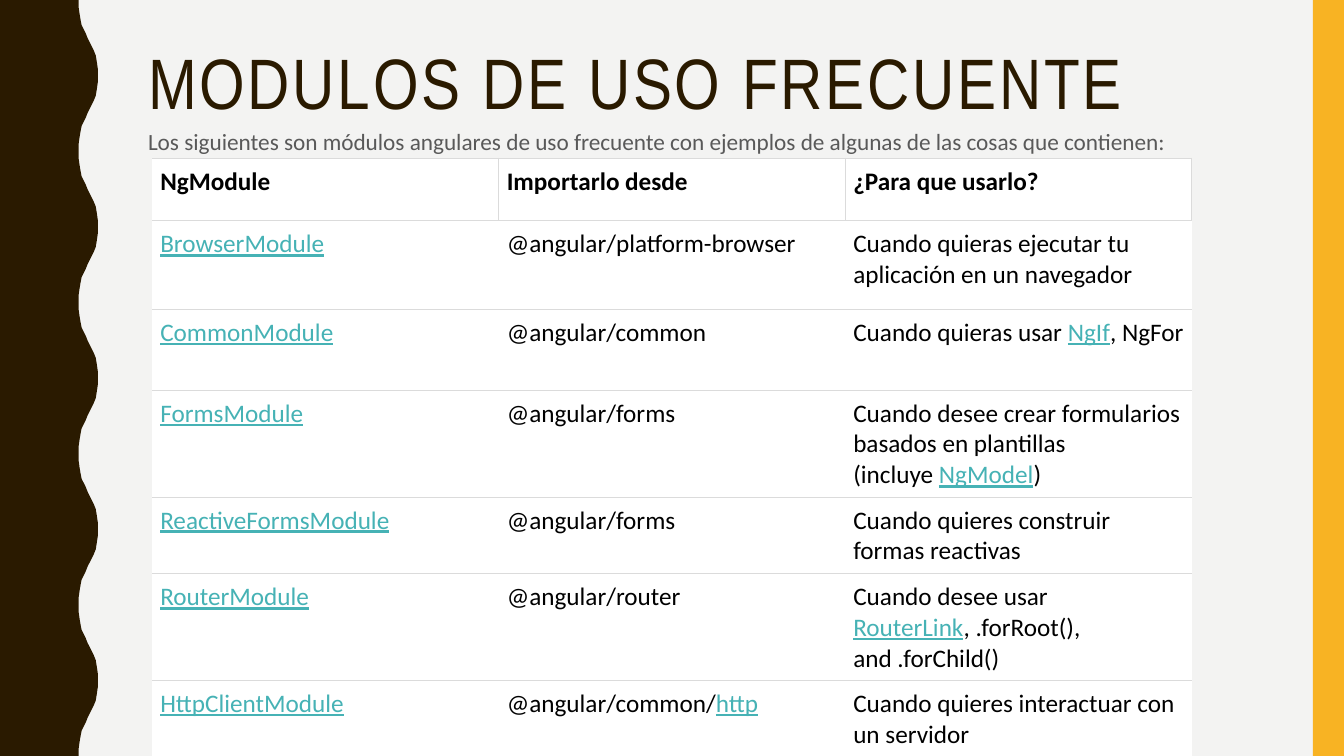
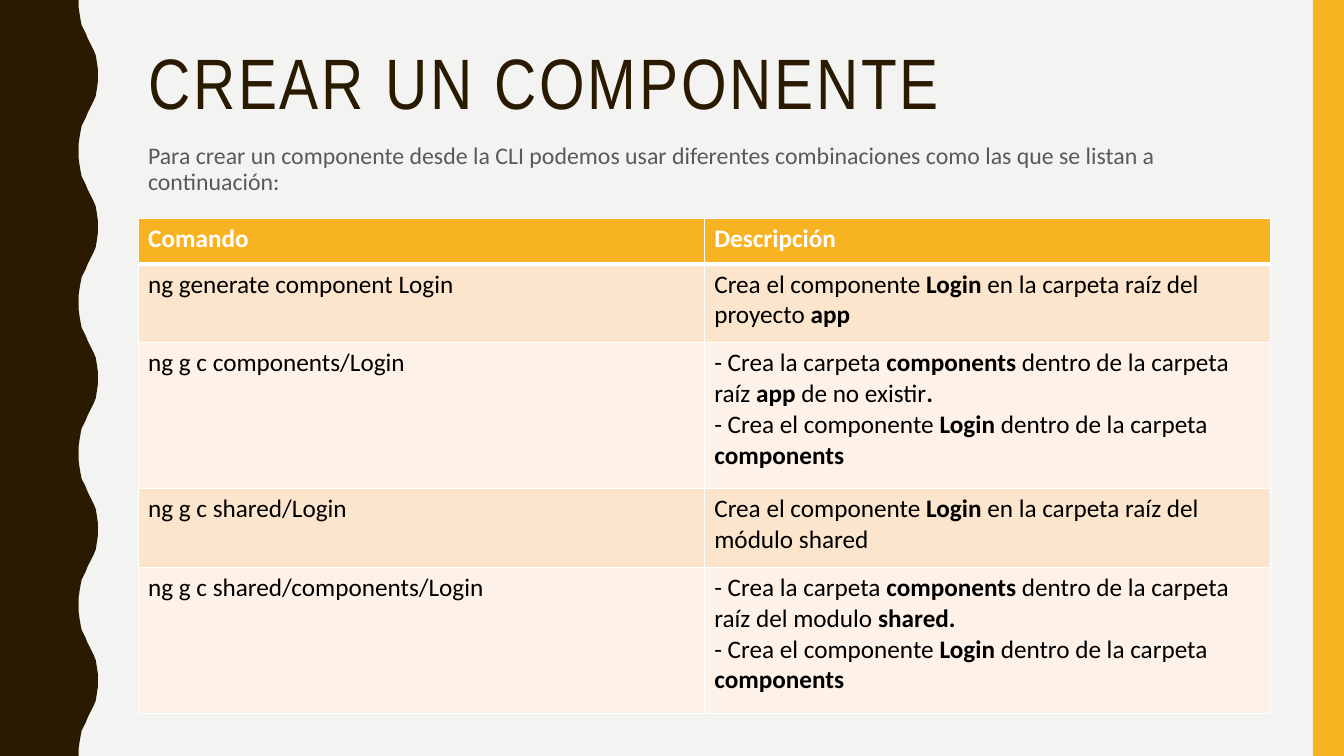
from dataclasses import dataclass

from lxml import etree
from pptx import Presentation
from pptx.dml.color import RGBColor
from pptx.enum.shapes import MSO_SHAPE
from pptx.enum.text import MSO_ANCHOR
from pptx.oxml.ns import qn
from pptx.util import Inches, Pt

RECTANGLE = MSO_SHAPE.RECTANGLE
TOP, MIDDLE = MSO_ANCHOR.TOP, MSO_ANCHOR.MIDDLE
PLAIN_TABLE_STYLE = "{2D5ABB26-0587-4C30-8999-92F81FD0307C}"
HARD_SPACE = chr(160)  # typed as "~" in the texts below
EDGES = ("L", "R", "T", "B")


@dataclass(frozen=True)
class Theme:
    background: str = "F3F3F2"
    dark: str = "2A1A00"
    accent: str = "F8B323"
    muted: str = "595959"
    ink: str = "000000"
    link: str = "46B2B5"
    white: str = "FFFFFF"
    rule: str = "DBDBDB"
    bands: tuple = ("FCE5CD", "FEF2E8")
    heading_font: str = "Arial Narrow"
    text_font: str = "Calibri"
    title_size: float = 51
    intro_size: float = 17
    table_size: float = 18


THEME = Theme()

# Half a period of the wavy edge, as (x, y) in inches; the rest is mirrored
WAVE_PERIOD, WAVE_COUNT = 1.5, 5
HALF_WAVE = [
    (0.78, 0), (0.78, 0.07), (0.79, 0.14), (0.8, 0.2), (0.81, 0.25),
    (0.83, 0.29), (0.85, 0.33), (0.87, 0.38), (0.89, 0.42), (0.91, 0.46),
    (0.93, 0.5), (0.95, 0.55), (0.96, 0.61), (0.97, 0.68), (0.97, 0.75),
]


def write_text(frame, text, *, size, color, font=THEME.text_font, bold=False,
               emphasis=None, line_spacing=None, tracking=None):
    """Write one paragraph per line; *starred* parts take the emphasis format."""
    for index, line in enumerate(text.replace("~", HARD_SPACE).split("\n")):
        para = frame.paragraphs[0] if index == 0 else frame.add_paragraph()
        if line_spacing:
            para.line_spacing = line_spacing
        for position, part in enumerate(line.split("*")):
            if not part:
                continue
            look = {"color": color, "bold": bold, "underline": False}
            if position % 2:
                look.update(emphasis or {})
            span = para.add_run()
            span.text = part
            span.font.name = font
            span.font.size = Pt(size)
            span.font.bold = look["bold"]
            span.font.underline = look["underline"]
            span.font.color.rgb = RGBColor.from_string(look["color"])
            if tracking:
                span.font._element.set("spc", str(tracking * 100))


def set_borders(cell, lines):
    """Draw the given edges as (colour, points) and clear the others."""
    properties = cell._tc.get_or_add_tcPr()
    for index, edge in enumerate(EDGES):
        line = etree.Element(qn(f"a:ln{edge}"))
        if edge in lines:
            color, width = lines[edge]
            line.set("w", str(Pt(width)))
            fill = etree.SubElement(line, qn("a:solidFill"))
            etree.SubElement(fill, qn("a:srgbClr")).set("val", color)
        else:
            etree.SubElement(line, qn("a:noFill"))
        properties.insert(index, line)


class SlideBuilder:
    def __init__(self, deck, theme):
        self.deck = deck
        self.theme = theme
        self.slide = None

    def start(self, title):
        self.slide = self.deck.slides.add_slide(self.deck.slide_layouts[6])
        fill = self.slide.background.fill
        fill.solid()
        fill.fore_color.rgb = RGBColor.from_string(self.theme.background)
        self.wave()
        self.band()
        self.text(title, 1.37, 0.42, 11.13, 0.87, anchor=MIDDLE,
                  size=self.theme.title_size, color=self.theme.dark,
                  font=self.theme.heading_font, line_spacing=0.9, tracking=2)

    def paint(self, shape, color):
        shape.shadow.inherit = False
        shape.fill.solid()
        shape.fill.fore_color.rgb = RGBColor.from_string(color)
        shape.line.fill.background()

    def wave(self):
        mirrored = [(x, WAVE_PERIOD - y) for x, y in HALF_WAVE[-2::-1]]
        points = [(x, y + turn * WAVE_PERIOD) for turn in range(WAVE_COUNT)
                  for x, y in HALF_WAVE + mirrored]
        points.append((0, WAVE_PERIOD * WAVE_COUNT))
        outline = self.slide.shapes.build_freeform(0, 0)
        outline.add_line_segments([(Inches(x), Inches(y)) for x, y in points])
        self.paint(outline.convert_to_shape(), self.theme.dark)

    def band(self):
        shape = self.slide.shapes.add_shape(
            RECTANGLE, Inches(13.02), 0, Inches(0.31), Inches(7.5))
        self.paint(shape, self.theme.accent)

    def text(self, text, left, top, width, height, anchor=TOP, **style):
        box = self.slide.shapes.add_textbox(
            Inches(left), Inches(top), Inches(width), Inches(height))
        frame = box.text_frame
        frame.word_wrap = True
        frame.vertical_anchor = anchor
        write_text(frame, text, **style)

    def intro(self, text, top, width, height, **style):
        style = {"size": self.theme.intro_size, **style}
        self.text(text, 1.37, top, width, height,
                  color=self.theme.muted, **style)

    def table(self, rows, left, top, width, heights, *, fills, header_color,
              emphasis, borders, margins):
        columns = len(rows[0])
        frame = self.slide.shapes.add_table(
            len(rows), columns, Inches(left), Inches(top),
            Inches(width), Inches(sum(heights)))
        table = frame.table
        table._tbl.tblPr.find(qn("a:tableStyleId")).text = PLAIN_TABLE_STYLE
        for column in table.columns:
            column.width = Inches(width / columns)
        side, edge = (Inches(margin) for margin in margins)
        for row, texts in enumerate(rows):
            table.rows[row].height = Inches(heights[row])
            for column, text in enumerate(texts):
                cell = table.cell(row, column)
                cell.margin_left = cell.margin_right = side
                cell.margin_top = cell.margin_bottom = edge
                cell.fill.solid()
                cell.fill.fore_color.rgb = RGBColor.from_string(fills[row])
                set_borders(cell, borders(row, column))
                write_text(cell.text_frame, text, size=self.theme.table_size,
                           color=self.theme.ink if row else header_color,
                           bold=row == 0, emphasis=emphasis)


def modules_slide(builder):
    theme = builder.theme
    builder.start("MODULOS DE USO FRECUENTE")
    builder.intro("Los siguientes son módulos angulares de uso frecuente con "
                  "ejemplos de algunas de las cosas que contienen:",
                  1.19, 10.6, 0.56, size=16.6, line_spacing=1.1)
    rows = [
        ("NgModule", "Importarlo desde", "¿Para que usarlo?"),
        ("*BrowserModule*", "@angular/platform-browser",
         "Cuando quieras ejecutar tu aplicación en un navegador"),
        ("*CommonModule*", "@angular/common",
         "Cuando quieras usar *NgIf*,~NgFor"),
        ("*FormsModule*", "@angular/forms",
         "Cuando desee crear formularios basados en plantillas "
         "(incluye~*NgModel*)"),
        ("*ReactiveFormsModule*", "@angular/forms",
         "Cuando quieres construir formas reactivas"),
        ("*RouterModule*", "@angular/router",
         "Cuando desee usar *RouterLink*,~.forRoot(), and~.forChild()"),
        ("*HttpClientModule*", "@angular/common/*http*",
         "Cuando quieres interactuar con un servidor"),
    ]

    def borders(row, column):
        # Upright rules appear in the header only, none at its left end
        edges = "TB" if row else "TBR" if column == 0 else "TBLR"
        return {edge: (theme.rule, 0.5) for edge in edges}

    builder.table(rows, 1.51, 1.57, 10.31,
                  [0.62, 0.88, 0.8, 0.84, 0.68, 0.83, 0.74],
                  fills=[theme.white] * len(rows), header_color=theme.ink,
                  emphasis={"color": theme.link, "underline": True},
                  borders=borders, margins=(0.08, 0.08))


def component_slide(builder):
    theme = builder.theme
    builder.start("CREAR UN COMPONENTE")
    builder.intro("Para crear un componente desde la CLI podemos usar "
                  "diferentes combinaciones como las que se listan a "
                  "continuación:", 1.38, 11.23, 0.65, line_spacing=0.9)
    login_step = "- Crea el componente *Login *dentro de la carpeta *components*"
    rows = [
        ("Comando", "Descripción"),
        ("ng generate component Login",
         "Crea el componente *Login *en la carpeta raíz del proyecto *app*"),
        ("ng g c components/Login",
         "- Crea la carpeta *components *dentro de la carpeta raíz* app *"
         "de no existir*.*\n" + login_step),
        ("ng g c shared/Login",
         "Crea el componente *Login *en la carpeta raíz del módulo shared"),
        ("ng g c shared/components/Login",
         "- Crea la carpeta *components *dentro de la carpeta raíz del modulo "
         "*shared.*\n" + login_step),
    ]

    def borders(row, column):
        lines = {edge: (theme.white, 1) for edge in EDGES}
        if row < 2:  # thick rule between header and body
            lines["T" if row else "B"] = (theme.white, 3)
        return lines

    builder.table(rows, 1.37, 2.17, 11.23, [0.45, 0.78, 1.45, 0.78, 1.45],
                  fills=[theme.accent, *theme.bands * 2],
                  header_color=theme.white, emphasis={"bold": True},
                  borders=borders, margins=(0.1, 0.05))


def main():
    deck = Presentation()
    deck.slide_width, deck.slide_height = Inches(13.33), Inches(7.5)
    builder = SlideBuilder(deck, THEME)
    modules_slide(builder)
    component_slide(builder)
    deck.save("out.pptx")


if __name__ == "__main__":
    main()
